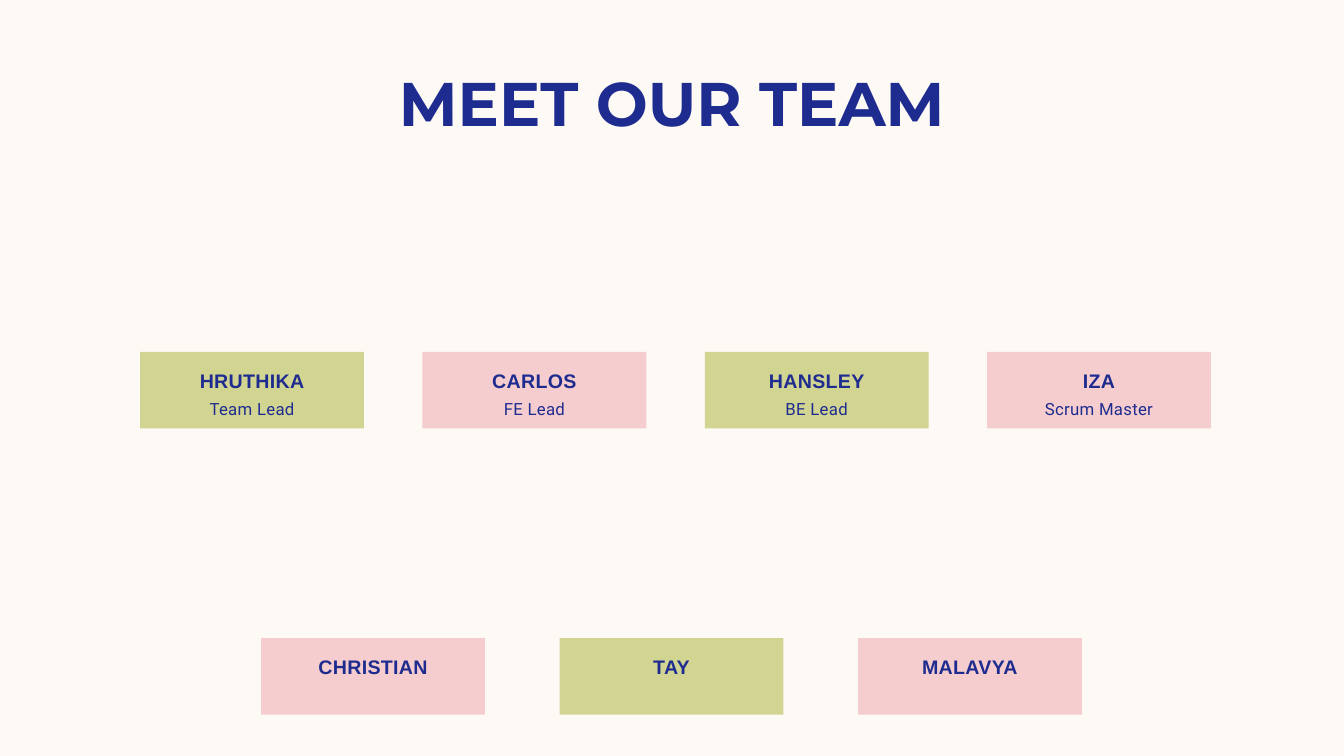
from pptx import Presentation
from pptx.dml.color import RGBColor
from pptx.enum.shapes import MSO_SHAPE
from pptx.enum.text import MSO_ANCHOR, MSO_AUTO_SIZE, PP_ALIGN
from pptx.util import Inches, Pt

NAVY = "1F2C8F"
GREEN = "D2D592"
PINK = "F5CDCE"
CARD_WIDTH = 2.22
CARD_HEIGHT = 0.76


def paint(fill, color):
    fill.solid()
    fill.fore_color.rgb = RGBColor.from_string(color)


def write(shape, text, size, font, bold=False, spacing=0, anchor=MSO_ANCHOR.MIDDLE, top=0, bottom=0):
    frame = shape.text_frame
    frame.word_wrap = True
    frame.auto_size = MSO_AUTO_SIZE.NONE
    frame.vertical_anchor = anchor
    frame.margin_left = frame.margin_right = 0
    frame.margin_top = Inches(top)
    frame.margin_bottom = Inches(bottom)
    paragraph = frame.paragraphs[0]
    paragraph.alignment = PP_ALIGN.CENTER
    run = paragraph.add_run()
    run.text = text
    run.font.name = font
    run.font.size = Pt(size)
    run.font.bold = bold
    paint(run.font.fill, NAVY)
    if spacing:
        run._r.get_or_add_rPr().set("spc", str(round(spacing * 100)))


presentation = Presentation()
presentation.slide_width = Inches(13.33)
presentation.slide_height = Inches(7.5)
slide = presentation.slides.add_slide(presentation.slide_layouts[5])
paint(slide.background.fill, "FDFAF6")

title = slide.shapes.title
title.left, title.top = Inches(0.83), Inches(0.59)
title.width, title.height = Inches(11.67), Inches(0.84)
write(title, "MEET OUR TEAM", size=44, font="Montserrat", bold=True)

leads = [
    ("HRUTHIKA", "Team Lead"),
    ("CARLOS", "FE Lead"),
    ("HANSLEY", "BE Lead"),
    ("IZA", "Scrum Master"),
]
members = [("CHRISTIAN", ""), ("TAY", ""), ("MALAVYA", "")]
rows = [
    (leads, 1.39, 3.49, 2.8, (GREEN, PINK)),
    (members, 2.59, 6.33, 2.96, (PINK, GREEN)),
]

for people, row_left, top, step, colors in rows:
    for index, (name, role) in enumerate(people):
        left = Inches(row_left + index * step)
        card = slide.shapes.add_shape(
            MSO_SHAPE.RECTANGLE, left, Inches(top), Inches(CARD_WIDTH), Inches(CARD_HEIGHT)
        )
        card.shadow.inherit = False
        card.line.fill.background()
        paint(card.fill, colors[index % 2])
        write(card, name, size=14, font="Arial", bold=True, spacing=0.2,
              anchor=MSO_ANCHOR.TOP, top=0.17, bottom=0.05)
        if role:
            role_box = slide.shapes.add_textbox(
                left, Inches(top + 0.47), Inches(CARD_WIDTH), Inches(0.2)
            )
            write(role_box, role, size=12, font="Roboto", spacing=0.2)

presentation.save("out.pptx")
